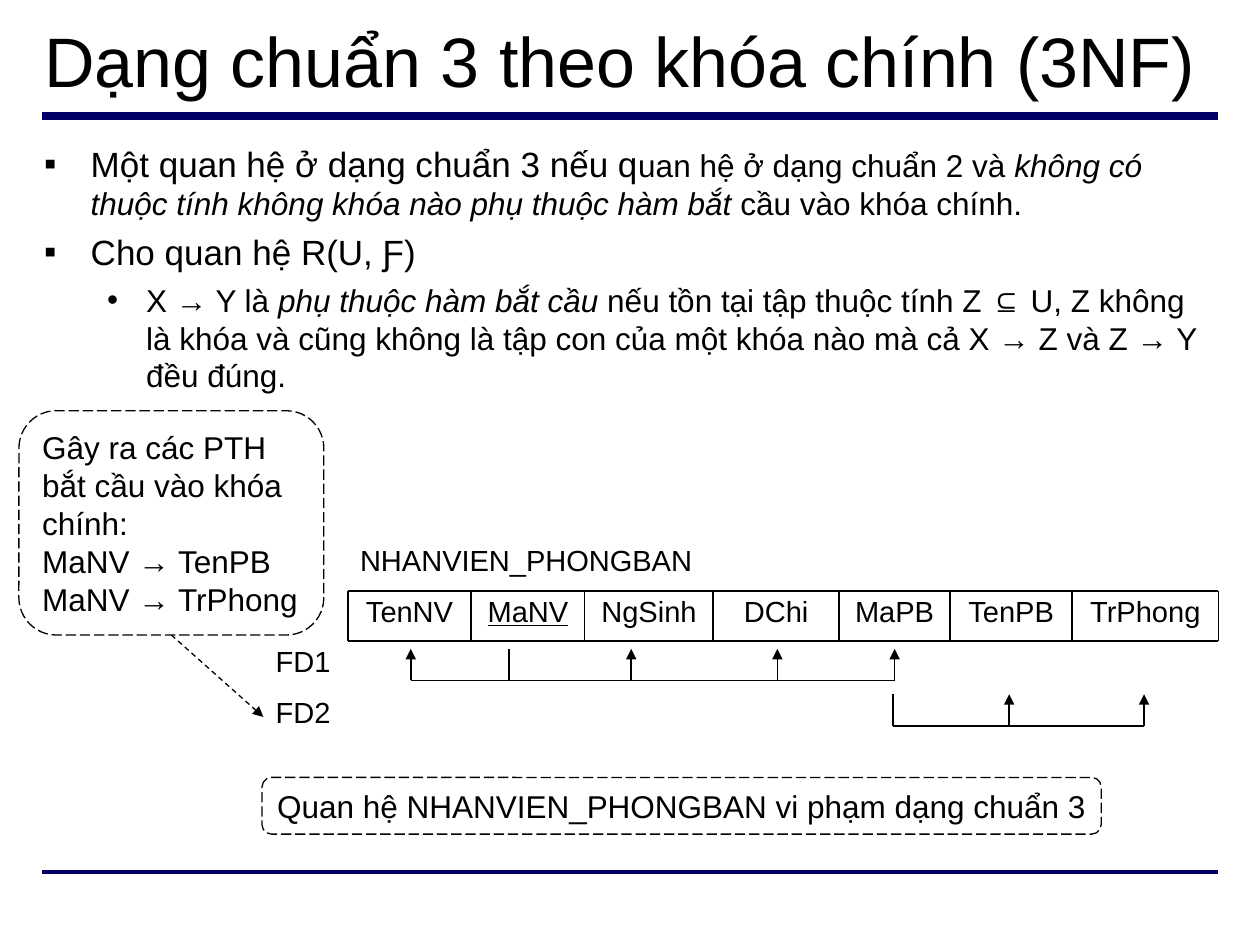
from dataclasses import dataclass
from itertools import accumulate

from lxml.etree import SubElement
from pptx import Presentation
from pptx.dml.color import RGBColor
from pptx.enum.dml import MSO_LINE
from pptx.enum.shapes import MSO_CONNECTOR, MSO_SHAPE
from pptx.enum.text import MSO_ANCHOR, MSO_AUTO_SIZE, PP_ALIGN
from pptx.oxml.ns import qn
from pptx.util import Inches, Pt


@dataclass(frozen=True)
class Theme:
    """Hold the colours, font and type sizes of the deck."""
    ink: RGBColor = RGBColor(0, 0, 0)
    rule: RGBColor = RGBColor(0, 0, 0x66)
    paper: RGBColor = RGBColor(255, 255, 255)
    font: str = "Arial"
    title: float = 40
    lead: float = 20
    text: float = 18
    cell: float = 16.6


@dataclass(frozen=True)
class Box:
    """Hold a place on the page in inches."""
    left: float
    top: float
    width: float
    height: float

    def lengths(self):
        """Return the four values as lengths."""
        return [Inches(value) for value in (self.left, self.top, self.width, self.height)]


THEME = Theme()
COLUMNS = {"TenNV": 0.98, "MaNV": 0.9, "NgSinh": 1.02, "DChi": 1,
           "MaPB": 0.88, "TenPB": 0.97, "TrPhong": 1.16}
DEFINITION = [
    (0, [("Một quan hệ ở dạng chuẩn 3 nếu q", THEME.lead, False),
         ("uan hệ ở dạng chuẩn 2 và ", THEME.text, False),
         ("không có thuộc tính không khóa nào phụ thuộc hàm bắt", THEME.text, True),
         (" cầu vào khóa chính.", THEME.text, False)]),
    (0, [("Cho quan hệ R(U, Ƒ)", THEME.lead, False)]),
    (1, [("X → Y là ", THEME.text, False),
         ("phụ thuộc hàm bắt cầu", THEME.text, True),
         (" nếu tồn tại tập thuộc tính Z ⊆ U, Z không là khóa và cũng không là tập con "
          "của một khóa nào mà cả X → Z và Z → Y đều đúng.", THEME.text, False)]),
]
LEVELS = [{"bullet": "▪", "margin": 0.37, "indent": -0.37, "before": 5},
          {"bullet": "•", "margin": 0.81, "indent": -0.31, "before": 4.5}]


def set_values(target, values):
    """Set each named attribute on the target."""
    for name, value in values.items():
        setattr(target, name, value)


def add_span(para, text, size, **values):
    """Add formatted text to a paragraph."""
    span = para.add_run()
    span.text = text
    set_values(span.font, {"name": THEME.font, "size": Pt(size), **values})
    span.font.color.rgb = THEME.ink


def add_line(page, start, end, color=THEME.ink, width=1.0, dash=None, arrow=None):
    """Draw a straight line, with an optional arrowhead."""
    line = page.shapes.add_connector(
        MSO_CONNECTOR.STRAIGHT, *[Inches(value) for value in (*start, *end)])
    line.line.color.rgb = color
    set_values(line.line, {"width": Pt(width), "dash_style": dash})
    properties = line._element.spPr
    if arrow:
        SubElement(properties.find(qn("a:ln")), qn(f"a:{arrow}"), type="triangle")
    SubElement(properties, qn("a:effectLst"))
    return line


def set_bullet(para, level):
    """Give a paragraph its bullet and hanging indent."""
    properties = para._p.get_or_add_pPr()
    for name, value in (("marL", level["margin"]), ("indent", level["indent"])):
        properties.set(name, str(Inches(value)))
    color = SubElement(properties, qn("a:buClr"))
    SubElement(color, qn("a:srgbClr"), val=str(THEME.ink))
    SubElement(properties, qn("a:buChar"), char=level["bullet"])


def place_text(holder, box, anchor):
    """Move a placeholder into its box and return its text frame."""
    set_values(holder, dict(zip(("left", "top", "width", "height"), box.lengths())))
    set_values(holder.text_frame, {"auto_size": MSO_AUTO_SIZE.NONE, "vertical_anchor": anchor})
    return holder.text_frame


def fill_title(page, box):
    """Write the title."""
    para = place_text(page.shapes.title, box, MSO_ANCHOR.MIDDLE).paragraphs[0]
    para.alignment = PP_ALIGN.LEFT
    add_span(para, "Dạng chuẩn 3 theo khóa chính (3NF)", THEME.title)


def fill_definition(page, box):
    """Write the bulleted definition."""
    frame = place_text(page.placeholders[1], box, MSO_ANCHOR.TOP)
    for index, (depth, spans) in enumerate(DEFINITION):
        para = frame.add_paragraph() if index else frame.paragraphs[0]
        level = LEVELS[depth]
        set_bullet(para, level)
        set_values(para, {"level": depth, "space_before": Pt(level["before"] if index else 0)})
        for text, size, italic in spans:
            add_span(para, text, size, italic=italic)


def add_cell(page, box, text, align=PP_ALIGN.LEFT, underline=False):
    """Add a label on a plain cell."""
    cell = page.shapes.add_shape(MSO_SHAPE.RECTANGLE, *box.lengths())
    cell.shadow.inherit = False
    cell.fill.solid()
    cell.fill.fore_color.rgb = THEME.paper
    cell.line.fill.background()
    cell.text_frame.vertical_anchor = MSO_ANCHOR.TOP
    para = cell.text_frame.paragraphs[0]
    set_values(para, {"alignment": align, "line_spacing": 0.9})
    add_span(para, text, THEME.cell, underline=underline)
    return cell


def add_relation(page, box):
    """Draw the relation name above its ruled row of attributes."""
    row = box.height / 2
    top, bottom = box.top + row, box.top + box.height
    add_cell(page, Box(box.left, box.top, 3.9, row), "NHANVIEN_PHONGBAN")
    edges = list(accumulate(COLUMNS.values(), initial=box.left))
    for left, (name, width) in zip(edges, COLUMNS.items()):
        add_cell(page, Box(left, top, width, row), name, PP_ALIGN.CENTER, name == "MaNV")
    for edge in edges:
        add_line(page, (edge, top), (edge, bottom))
    for level in (top, bottom):
        add_line(page, (edges[0], level), (edges[-1], level))


def add_dependency(page, box, source, targets):
    """Draw a bus from the determining attribute to its dependents."""
    bottom = box.top + box.height
    add_line(page, (box.left, bottom), (box.left + box.width, bottom))
    add_line(page, (source, box.top), (source, bottom))
    for target in targets:
        add_line(page, (target, box.top), (target, bottom), arrow="headEnd")


def add_note(page, box, lines):
    """Add a dashed rounded note."""
    note = page.shapes.add_shape(MSO_SHAPE.ROUNDED_RECTANGLE, *box.lengths())
    note.shadow.inherit = False
    note.fill.background()
    note.line.color.rgb = THEME.ink
    set_values(note.line, {"width": Pt(0.75), "dash_style": MSO_LINE.LONG_DASH})
    frame = note.text_frame
    set_values(frame, {"word_wrap": False, "vertical_anchor": MSO_ANCHOR.MIDDLE})
    for index, text in enumerate(lines):
        para = frame.add_paragraph() if index else frame.paragraphs[0]
        para.alignment = PP_ALIGN.LEFT
        add_span(para, text, THEME.text)
    return note


def main():
    """Build and save the deck."""
    deck = Presentation()
    set_values(deck, {"slide_width": Inches(10), "slide_height": Inches(7.5)})
    page = deck.slides.add_slide(deck.slide_layouts[1])
    for top, width in ((0.92, 4.5), (6.92, 2.25)):
        add_line(page, (0.33, top), (9.67, top), THEME.rule, width)
    fill_title(page, Box(0.25, 0.09, 9.5, 0.77))
    fill_definition(page, Box(0.25, 1.08, 9.5, 5.54))
    add_cell(page, Box(2.09, 5.09, 0.67, 0.4), "FD1")
    second_label = add_cell(page, Box(2.09, 5.49, 0.67, 0.4), "FD2")
    add_relation(page, Box(2.76, 4.29, 6.91, 0.8))
    add_dependency(page, Box(3.26, 5.15, 3.84, 0.25), 4.04, (3.26, 5.01, 6.17, 7.1))
    add_dependency(page, Box(7.09, 5.51, 1.99, 0.25), 7.09, (8.01, 9.08))
    cause = add_note(page, Box(0.15, 3.26, 2.42, 1.78),
                     ["Gây ra các PTH", "bắt cầu vào khóa", "chính:",
                      "MaNV → TenPB", "MaNV → TrPhong"])
    pointer = add_line(page, (1.36, 5.04), (2.09, 5.69), width=0.75,
                       dash=MSO_LINE.DASH, arrow="tailEnd")
    pointer.begin_connect(cause, 2)
    pointer.end_connect(second_label, 1)
    add_note(page, Box(2.08, 6.17, 6.66, 0.45),
             ["Quan hệ NHANVIEN_PHONGBAN vi phạm dạng chuẩn 3"])
    deck.save("out.pptx")


if __name__ == "__main__":
    main()
